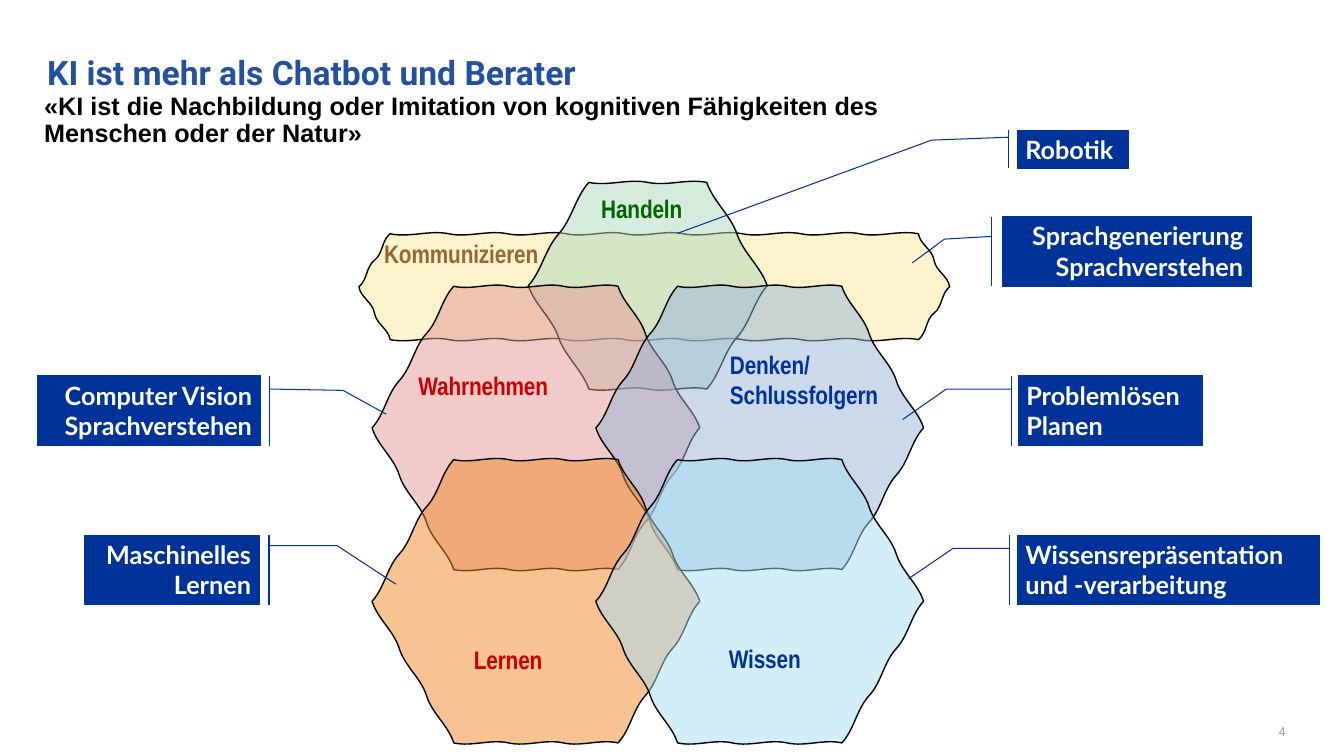
from math import hypot

from lxml import etree
from pptx import Presentation
from pptx.dml.color import RGBColor
from pptx.enum.shapes import MSO_SHAPE
from pptx.enum.text import MSO_ANCHOR, MSO_AUTO_SIZE, PP_ALIGN
from pptx.oxml.ns import qn
from pptx.util import Inches, Pt

# Content
TITLE = "KI ist mehr als Chatbot und Berater"
DEFINITION = ("«KI ist die Nachbildung oder Imitation von kognitiven Fähigkeiten "
              "des Menschen oder der Natur»")
PAGE_NUMBER = "4"

LEFT_COLUMN, RIGHT_COLUMN = 3.69, 5.91
UPPER_ROW, LOWER_ROW = 2.84, 4.56
LARGE = (3.25, 2.81, 0.81)  # width, height, corner inset

# left, top, (width, height, corner inset), fill
HEXAGONS = [
    (3.56, 2.32, (5.86, 1.05, 0.31), "F8E899"),
    (5.24, 1.81, (2.37, 2.05, 0.6), "B1D8BC"),
    (LEFT_COLUMN, UPPER_ROW, LARGE, "E59796"),
    (RIGHT_COLUMN, UPPER_ROW, LARGE, "98B4D8"),
    (LEFT_COLUMN, LOWER_ROW, LARGE, "F08927"),
    (RIGHT_COLUMN, LOWER_ROW, LARGE, "A9DDF4"),
]

# text, (left, top, width, height), alignment, colour
ABILITIES = [
    ("Kommunizieren", (3.8, 2.33, 1.64, 0.33), PP_ALIGN.LEFT, "996633"),
    ("Wahrnehmen", (4.14, 3.64, 1.48, 0.33), PP_ALIGN.LEFT, "CC0000"),
    ("Denken/\nSchlussfolgern", (7.23, 3.43, 1.56, 0.64), PP_ALIGN.LEFT, "003399"),
    ("Lernen", (4.69, 6.36, 0.93, 0.33), PP_ALIGN.LEFT, "CC0000"),
    ("Wissen", (7.22, 6.35, 1.03, 0.33), PP_ALIGN.LEFT, "003399"),
    ("Handeln", (5.82, 1.89, 1.08, 0.33), PP_ALIGN.CENTER, "006600"),
]

# paragraphs, (left, top, width, height), alignment, leader as y/x shares of the box
CALLOUTS = [
    (["Computer Vision", "Sprachverstehen"], (0.37, 3.73, 2.21, 0.69),
     PP_ALIGN.RIGHT, (0.188, 1.041, 0.207, 1.372, 0.549, 1.566)),
    (["Problemlösen", "Planen"], (10.1, 3.73, 1.83, 0.69),
     PP_ALIGN.LEFT, (0.188, -0.035, 0.188, -0.39, 0.626, -0.627)),
    (["Wissensrepräsentation\nund -verarbeitung"], (10.09, 5.31, 3, 0.69),
     PP_ALIGN.LEFT, (0.188, -0.026, 0.188, -0.212, 0.626, -0.36)),
    (["Maschinelles\nLernen"], (0.84, 5.31, 1.73, 0.69),
     PP_ALIGN.RIGHT, (0.149, 1.057, 0.149, 1.447, 0.703, 1.784)),
    (["Sprachgenerierung", "Sprachverstehen"], (9.94, 2.15, 2.47, 0.69),
     PP_ALIGN.RIGHT, (0.283, -0.043, 0.322, -0.232, 0.664, -0.361)),
    (["Robotik"], (10.09, 1.29, 1.1, 0.38),
     PP_ALIGN.LEFT, (0.188, -0.083, 0.264, -0.773, 2.699, -3.065)),
]

THEME = {
    "title": ("Roboto", 24, "24519F", True),
    "definition": ("Arial", 18, "000000", True),
    "number": ("Roboto", 9, "A6A6A6", False),
    "callout": ("Lato", 18, "FFFFFF", True),
    "ability": ("Arial Narrow", 18.1, None, True),
    "box": "003399",
    "outline": "000000",
}


def rgb(value):
    return RGBColor.from_string(value)


def set_margins(frame, left, top, right, bottom):
    frame.margin_left, frame.margin_top = Inches(left), Inches(top)
    frame.margin_right, frame.margin_bottom = Inches(right), Inches(bottom)


def write(frame, texts, style, align=PP_ALIGN.LEFT, color=None):
    """Write one paragraph per text, with its line breaks, and return the runs."""
    name, size, default_color, bold = THEME[style]
    runs = []
    for index, text in enumerate(texts):
        paragraph = frame.paragraphs[0] if index == 0 else frame.add_paragraph()
        paragraph.alignment = align
        for number, line in enumerate(text.split("\n")):
            if number:
                paragraph.add_line_break()
            run = paragraph.add_run()
            run.text = line
            run.font.name, run.font.size, run.font.bold = name, Pt(size), bold
            run.font.color.rgb = rgb(color or default_color)
            runs.append(run)
    return runs


def add_text(slide, box, text, style, **options):
    shape = slide.shapes.add_textbox(*map(Inches, box))
    shape.text_frame.word_wrap = True
    return shape.text_frame, write(shape.text_frame, [text], style, **options)


def wavy_side(start, end, sway=0.04):
    """Two control points and an end point for each wave along a side."""
    dx, dy = end[0] - start[0], end[1] - start[1]
    length = hypot(dx, dy)
    waves = max(2, round(length / 0.58))
    for third in range(1, 3 * waves + 1):
        share = third / (3 * waves)
        offset = (0, sway, -sway)[third % 3] / length
        yield start[0] + dx * share - dy * offset, start[1] + dy * share + dx * offset


def bend(shape):
    """Join every three straight segments into one curve."""
    segments = list(shape._element.iter(qn("a:lnTo")))
    for first, second, last in zip(segments[::3], segments[1::3], segments[2::3]):
        curve = etree.Element(qn("a:cubicBezTo"))
        first.addprevious(curve)
        for segment in (first, second, last):
            curve.append(segment[0])
            segment.getparent().remove(segment)


def add_hexagon(slide, left, top, size, fill):
    width, height, inset = size
    right, bottom, middle = left + width, top + height, top + height / 2
    corners = [(left, middle), (left + inset, top), (right - inset, top),
               (right, middle), (right - inset, bottom), (left + inset, bottom)]
    points = [point for start, end in zip(corners, corners[1:] + corners[:1])
              for point in wavy_side(start, end)]
    builder = slide.shapes.build_freeform(*map(Inches, corners[0]))
    builder.add_line_segments([(Inches(x), Inches(y)) for x, y in points], close=True)
    shape = builder.convert_to_shape()
    bend(shape)
    shape.shadow.inherit = False
    shape.fill.solid()
    shape.fill.fore_color.rgb = rgb(fill)
    color = shape.fill._xPr.find(qn("a:solidFill"))[0]
    etree.SubElement(color, qn("a:alpha"), val="50000")
    shape.line.color.rgb = rgb(THEME["outline"])
    shape.line.width = Pt(1)


def add_callout(slide, texts, box, align, leader):
    shape = slide.shapes.add_shape(
        MSO_SHAPE.LINE_CALLOUT_2_BORDER_AND_ACCENT_BAR, *map(Inches, box))
    for index, share in enumerate(leader):
        shape.adjustments[index] = share
    shape.shadow.inherit = False
    shape.fill.solid()
    shape.fill.fore_color.rgb = rgb(THEME["box"])
    shape.line.color.rgb = rgb(THEME["box"])
    shape.line.width = Pt(0.75)
    frame = shape.text_frame
    set_margins(frame, 0.08, 0.04, 0.08, 0.04)
    frame.word_wrap = False
    frame.auto_size = MSO_AUTO_SIZE.SHAPE_TO_FIT_TEXT
    frame.vertical_anchor = MSO_ANCHOR.TOP
    write(frame, texts, "callout", align)


def main():
    presentation = Presentation()
    presentation.slide_width, presentation.slide_height = Inches(13.33), Inches(7.5)
    slide = presentation.slides.add_slide(presentation.slide_layouts[6])

    # Page number and title
    add_text(slide, (9.85, 7.13, 3, 0.4), PAGE_NUMBER, "number", align=PP_ALIGN.RIGHT)
    frame, _ = add_text(slide, (0.37, 0.44, 10.47, 0.54), TITLE, "title")
    frame.vertical_anchor = MSO_ANCHOR.MIDDLE

    # Overlapping abilities
    for hexagon in HEXAGONS:
        add_hexagon(slide, *hexagon)
    for text, box, align, color in ABILITIES:
        frame, runs = add_text(slide, box, text, "ability", align=align, color=color)
        set_margins(frame, 0.01, 0.03, 0, 0)
        frame.auto_size = MSO_AUTO_SIZE.SHAPE_TO_FIT_TEXT
        for run in runs:
            run.font._element.set("spc", "-10")

    # Fields of application
    for callout in CALLOUTS:
        add_callout(slide, *callout)

    # Definition
    frame, _ = add_text(slide, (0.34, 0.88, 8.57, 0.65), DEFINITION, "definition")
    frame.auto_size = MSO_AUTO_SIZE.SHAPE_TO_FIT_TEXT
    frame.paragraphs[0].line_spacing = 0.9

    presentation.save("out.pptx")


if __name__ == "__main__":
    main()
